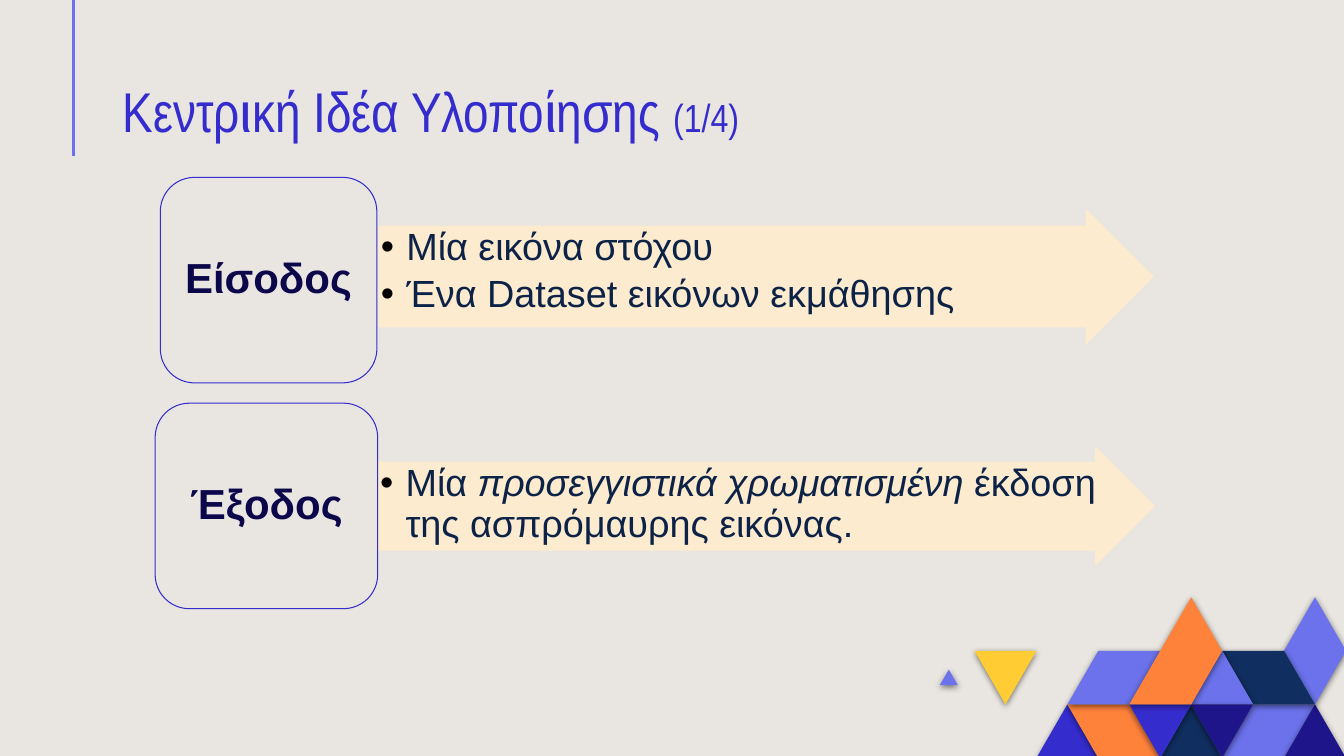
from dataclasses import dataclass

import lxml.etree
import pptx
import pptx.dml.color
import pptx.enum.shapes
import pptx.enum.text
import pptx.oxml.ns
import pptx.util

Cm = pptx.util.Cm
Pt = pptx.util.Pt
qn = pptx.oxml.ns.qn
KINDS = pptx.enum.shapes.MSO_SHAPE
ANCHORS = pptx.enum.text.MSO_ANCHOR
ALIGNS = pptx.enum.text.PP_ALIGN

HEX = {
    "back": "E9E6E1", "blue": "352CCD", "lilac": "6B72EB", "orange": "FF823B",
    "indigo": "1F158A", "navy": "102E5F", "yellow": "FFCC33", "cream": "FFECCE",
    "ink": "0C2347", "dark": "0C064A", "black": "000000",
}

# Triangle grid: half a side across, one row down
GRID_X, GRID_Y, STEP_X, STEP_Y = 24.56, 15.05, 0.78, 1.35


@dataclass
class Rect:
    left: float
    top: float
    width: float
    height: float


@dataclass
class Run:
    text: str
    size: float
    color: str
    font: str = "Arial"
    bold: bool = False
    italic: bool = False


@dataclass
class Step:
    label: str
    box: Rect
    arrow: Rect
    items: list[list[Run]]


@dataclass
class Tile:
    color: str
    points: list[tuple[float, float]]  # grid column and row


def body(text: str, italic: bool = False) -> Run:
    return Run(text, 27, "ink", italic=italic)


TITLE = [
    Run("Κεντρική Ιδέα Υλοποίησης ", 40, "blue", "Arial Narrow"),
    Run("(1/4)", 28, "blue", "Arial Narrow"),
]

STEPS = [
    Step("Είσοδος", Rect(4.04, 4.47, 5.46, 5.18), Rect(9.55, 5.28, 19.51, 3.38),
         [[body("Μία εικόνα στόχου")], [body("Ένα Dataset εικόνων εκμάθησης")]]),
    Step("Έξοδος", Rect(3.91, 10.16, 5.61, 5.18), Rect(9.53, 11.28, 19.56, 2.95),
         [[body("Μία "), body("προσεγγιστικά χρωματισμένη ", True),
           body("έκδοση της ασπρόμαυρης εικόνας.")]]),
]

TILES = [
    Tile("blue", [(2, 3), (3, 2), (4, 3)]),
    Tile("orange", [(3, 2), (5, 2), (6, 3), (4, 3)]),
    Tile("lilac", [(8, 3), (9, 2), (11, 2), (10, 3)]),
    Tile("indigo", [(10, 3), (11, 2), (12, 3)]),
    Tile("navy", [(6, 3), (7, 2), (8, 3)]),
    Tile("lilac", [(3, 2), (4, 1), (6, 1), (5, 2)]),
    Tile("lilac", [(-1.12, 1.64), (-0.83, 1.35), (-0.54, 1.64)]),
    Tile("yellow", [(0, 1), (2, 1), (1, 2)]),
    Tile("lilac", [(10, 1), (11, 0), (12, 1), (11, 2)]),
    Tile("navy", [(8, 1), (10, 1), (11, 2), (9, 2)]),
    Tile("lilac", [(7, 2), (8, 1), (9, 2)]),
    Tile("indigo", [(7, 2), (9, 2), (8, 3)]),
    Tile("blue", [(5, 2), (7, 2), (6, 3)]),
    Tile("orange", [(5, 2), (7, 0), (8, 1), (7, 2)]),
]


def tint(name: str) -> pptx.dml.color.RGBColor:
    return pptx.dml.color.RGBColor.from_string(HEX[name])


def span(rect: Rect) -> list[int]:
    return [Cm(rect.left), Cm(rect.top), Cm(rect.width), Cm(rect.height)]


def write(para, runs: list[Run]) -> None:
    for part in runs:
        run = para.add_run()
        run.text = part.text
        font = run.font
        font.name, font.size = part.font, Pt(part.size)
        font.bold, font.italic = part.bold, part.italic
        font.color.rgb = tint(part.color)


def set_frame(frame, anchor, side: float, edge: float) -> None:
    frame.word_wrap = True
    frame.auto_size = pptx.enum.text.MSO_AUTO_SIZE.NONE
    frame.vertical_anchor = anchor
    frame.margin_left = frame.margin_right = Cm(side)
    frame.margin_top = frame.margin_bottom = Cm(edge)


def add_bullet(para) -> None:
    props = para._p.get_or_add_pPr()
    props.set("marL", str(Cm(0.64)))
    props.set("indent", str(-Cm(0.64)))
    color = lxml.etree.SubElement(props, qn("a:buClr"))
    lxml.etree.SubElement(color, qn("a:srgbClr"), val=HEX["black"])
    lxml.etree.SubElement(props, qn("a:buFont"), typeface="Arial")
    lxml.etree.SubElement(props, qn("a:buChar"), char="•")


def add_panel(slide, kind, rect: Rect, line: str):
    panel = slide.shapes.add_shape(kind, *span(rect))
    panel.shadow.inherit = False
    panel.line.color.rgb = tint(line)
    panel.line.width = Pt(0.75)
    return panel


def add_step(slide, step: Step) -> None:
    # Arrow with its bullets
    arrow = add_panel(slide, KINDS.RIGHT_ARROW, step.arrow, "cream")
    arrow.adjustments[0] = 0.75
    arrow.fill.solid()
    arrow.fill.fore_color.rgb = tint("cream")
    for color in arrow._element.spPr.iter(qn("a:srgbClr")):
        lxml.etree.SubElement(color, qn("a:alpha"), val="90000")
    frame = arrow.text_frame
    set_frame(frame, ANCHORS.TOP, 0.05, 0.05)
    for index, runs in enumerate(step.items):
        para = frame.add_paragraph() if index else frame.paragraphs[0]
        para.alignment = ALIGNS.LEFT
        para.line_spacing = 0.9
        para.space_after = Pt(4)
        add_bullet(para)
        write(para, runs)

    # Rounded label box
    box = add_panel(slide, KINDS.ROUNDED_RECTANGLE, step.box, "blue")
    box.fill.background()
    set_frame(box.text_frame, ANCHORS.MIDDLE, 0.3, 0.15)
    para = box.text_frame.paragraphs[0]
    para.alignment = ALIGNS.CENTER
    para.line_spacing = 0.9
    write(para, [Run(step.label, 30, "dark", bold=True)])


def add_tile(slide, tile: Tile) -> None:
    spots = [(Cm(GRID_X + col * STEP_X), Cm(GRID_Y + row * STEP_Y))
             for col, row in tile.points]
    pen = slide.shapes.build_freeform(*spots[0])
    pen.add_line_segments(spots[1:], close=True)
    shape = pen.convert_to_shape()
    shape.fill.solid()
    shape.fill.fore_color.rgb = tint(tile.color)
    shape.line.fill.background()
    shape.shadow.inherit = False
    effects = shape._element.spPr.find(qn("a:effectLst"))
    shade = lxml.etree.SubElement(
        effects, qn("a:outerShdw"), blurRad=str(Pt(4.5)), dist=str(Pt(1.5)),
        dir="5400000", rotWithShape="0")
    color = lxml.etree.SubElement(shade, qn("a:srgbClr"), val=HEX["black"])
    lxml.etree.SubElement(color, qn("a:alpha"), val="50000")


def main() -> None:
    deck = pptx.Presentation()
    deck.slide_width, deck.slide_height = Cm(33.87), Cm(19.05)
    slide = deck.slides.add_slide(deck.slide_layouts[5])
    slide.background.fill.solid()
    slide.background.fill.fore_color.rgb = tint("back")

    # Accent line
    line = slide.shapes.add_connector(
        pptx.enum.shapes.MSO_CONNECTOR.STRAIGHT, Cm(1.85), Cm(0), Cm(1.85), Cm(3.94))
    line.line.color.rgb = tint("lilac")
    line.line.width = Pt(2.25)
    lxml.etree.SubElement(line._element.spPr, qn("a:effectLst"))

    # Corner mosaic
    for tile in TILES:
        add_tile(slide, tile)

    # Title
    title = slide.shapes.title
    title.left, title.top, title.width, title.height = span(Rect(2.84, 1.73, 29.97, 2.13))
    set_frame(title.text_frame, ANCHORS.BOTTOM, 0.25, 0.25)
    para = title.text_frame.paragraphs[0]
    para.alignment = ALIGNS.LEFT
    write(para, TITLE)

    # Input and output
    for step in STEPS:
        add_step(slide, step)

    deck.save("out.pptx")


if __name__ == "__main__":
    main()
